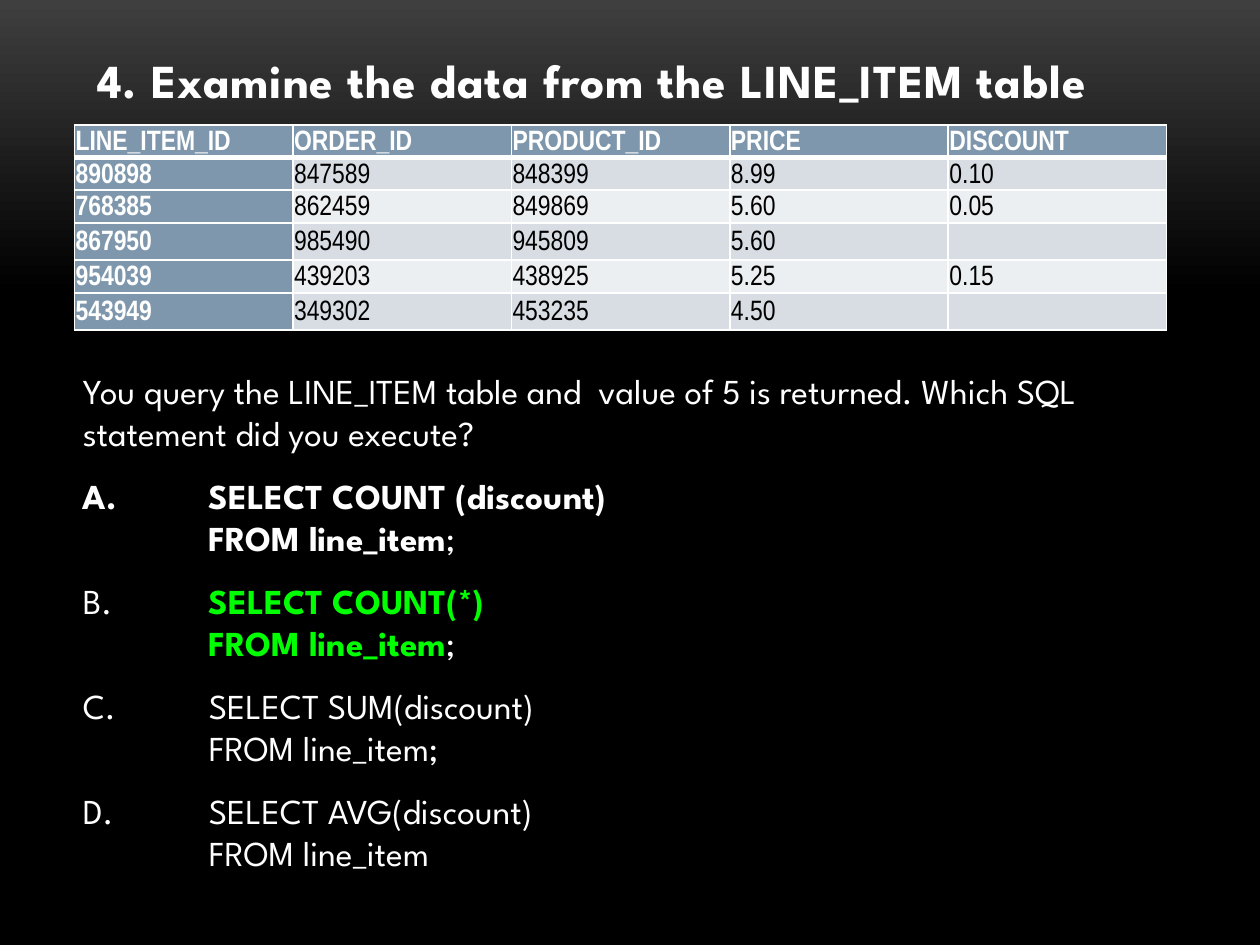
from lxml.etree import SubElement
from pptx import Presentation
from pptx.dml.color import RGBColor
from pptx.enum.text import MSO_ANCHOR, MSO_AUTO_SIZE, PP_ALIGN
from pptx.oxml.ns import qn
from pptx.util import Inches, Pt

HUES = {
    "white": "FFFFFF", "black": "000000", "gray": "3F3F3F", "green": "00FF00",
    "head": "7E97AD", "odd": "D8DDE3", "even": "ECEFF1",
}
ROWS = [
    ("LINE_ITEM_ID", "ORDER_ID", "PRODUCT_ID", "PRICE", "DISCOUNT"),
    ("890898", "847589", "848399", "8.99", "0.10"),
    ("768385", "862459", "849869", "5.60", "0.05"),
    ("867950", "985490", "945809", "5.60", ""),
    ("954039", "439203", "438925", "5.25", "0.15"),
    ("543949", "349302", "453235", "4.50", ""),
]
ASK = ("You query the LINE_ITEM table and  value of 5 is returned. "
       "Which SQL statement did you execute?")
# Each choice has two lines; each line is a list of (text, bold, hue).
CHOICES = [
    ([("A.\tSELECT COUNT (discount)", True, "white")],
     [("FROM line_item", True, "white"), (";", False, "white")]),
    ([("B.\t", False, "white"), ("SELECT COUNT(*)", True, "green")],
     [("FROM line_item", True, "green"), (";", False, "white")]),
    ([("C.\tSELECT SUM(discount)", False, "white")],
     [("FROM line_item;", False, "white")]),
    ([("D.\tSELECT AVG(discount)", False, "white")],
     [("FROM line_item", False, "white")]),
]


def hue(name):
    return RGBColor.from_string(HUES[name])


class Deck:
    """Holds the style and the slide; lengths count cells of a 100 by 75 grid."""

    font, cell_font = "League Spartan", "Arial Narrow"
    unit = Inches(0.1)

    def __init__(self):
        self.prs = Presentation()
        self.prs.slide_width, self.prs.slide_height = self.grid(100, 75)
        self.slide = self.prs.slides.add_slide(self.prs.slide_layouts[5])

    def grid(self, *cells):
        return [round(n * self.unit) for n in cells]

    def style(self, font, size, name=None, bold=False, tint="white"):
        font.name, font.size, font.bold = name or self.font, Pt(size), bold
        font.color.rgb = hue(tint)

    def back(self):
        fill = self.slide.background.fill
        fill.gradient()
        fill.gradient_angle = 270
        for stop, name, pos in zip(fill.gradient_stops, ("gray", "black"), (0, 0.31)):
            stop.color.rgb, stop.position = hue(name), pos

    def title(self, text, *box):
        shape = self.slide.shapes.title
        shape.left, shape.top, shape.width, shape.height = self.grid(*box)
        frame = shape.text_frame
        frame.auto_size, frame.vertical_anchor = MSO_AUTO_SIZE.NONE, MSO_ANCHOR.BOTTOM
        para = frame.paragraphs[0]
        para.alignment = PP_ALIGN.LEFT
        run = para.add_run()
        run.text = text
        self.style(run.font, 27, bold=True)
        run.font._element.set("spc", "50")

    def edge(self, cell, low):
        """Draws white cell borders, with the bottom one low points wide."""
        props = cell._tc.get_or_add_tcPr()
        for side, width in (("L", 1), ("R", 1), ("T", 1), ("B", low)):
            line = SubElement(props, qn(f"a:ln{side}"), w=str(Pt(width)))
            fill = SubElement(line, qn("a:solidFill"))
            SubElement(fill, qn("a:srgbClr"), val=HUES["white"])

    def table(self, rows, highs, *spot):
        x, y, wide, high = self.grid(*spot, sum(highs))
        table = self.slide.shapes.add_table(
            len(rows), len(rows[0]), x, y, wide, high).table
        for r, (row, tall) in enumerate(zip(rows, self.grid(*highs))):
            table.rows[r].height = tall
            for c, text in enumerate(row):
                self.cell(table.cell(r, c), text, r, c)

    def cell(self, cell, text, r, c):
        head = r == 0 or c == 0
        self.edge(cell, 1 if r else 3)
        cell.fill.solid()
        cell.fill.fore_color.rgb = hue("head" if head else "odd" if r % 2 else "even")
        cell.margin_left = cell.margin_right = Inches(0.01)
        cell.margin_top = cell.margin_bottom = Inches(0.01)
        cell.vertical_anchor = MSO_ANCHOR.MIDDLE
        para = cell.text_frame.paragraphs[0]
        para.text, para.line_spacing = text, 1.15
        self.style(para.font, 16, self.cell_font, head, "white" if head else "black")

    def quiz(self, ask, choices, *box):
        frame = self.slide.shapes.add_textbox(*self.grid(*box)).text_frame
        frame.word_wrap = True
        para = frame.paragraphs[0]
        para.text = ask
        self.style(para.font, 20)
        for first, last in choices:
            self.line(frame, first, 12, -10)
            self.line(frame, last, 0, 0)

    def line(self, frame, runs, gap, hang):
        para = frame.add_paragraph()
        para.space_before = Pt(gap)
        left, dent = self.grid(10, hang)
        props = para._p.get_or_add_pPr()
        props.set("marL", str(left))
        props.set("indent", str(dent))
        for text, bold, tint in runs:
            run = para.add_run()
            run.text = text
            self.style(run.font, 20, bold=bold, tint=tint)


def main():
    deck = Deck()
    deck.back()
    deck.title("4. Examine the data from the LINE_ITEM table", 6.7, 3, 86.7, 6.1)
    highs = [2.6 if all(row) else 2.95 for row in ROWS]
    deck.table(ROWS, highs, 5.9, 9.9, 86.7)
    deck.quiz(ASK, CHOICES, 5.6, 28.8, 88.6, 47.5)
    deck.prs.save("out.pptx")


if __name__ == "__main__":
    main()
